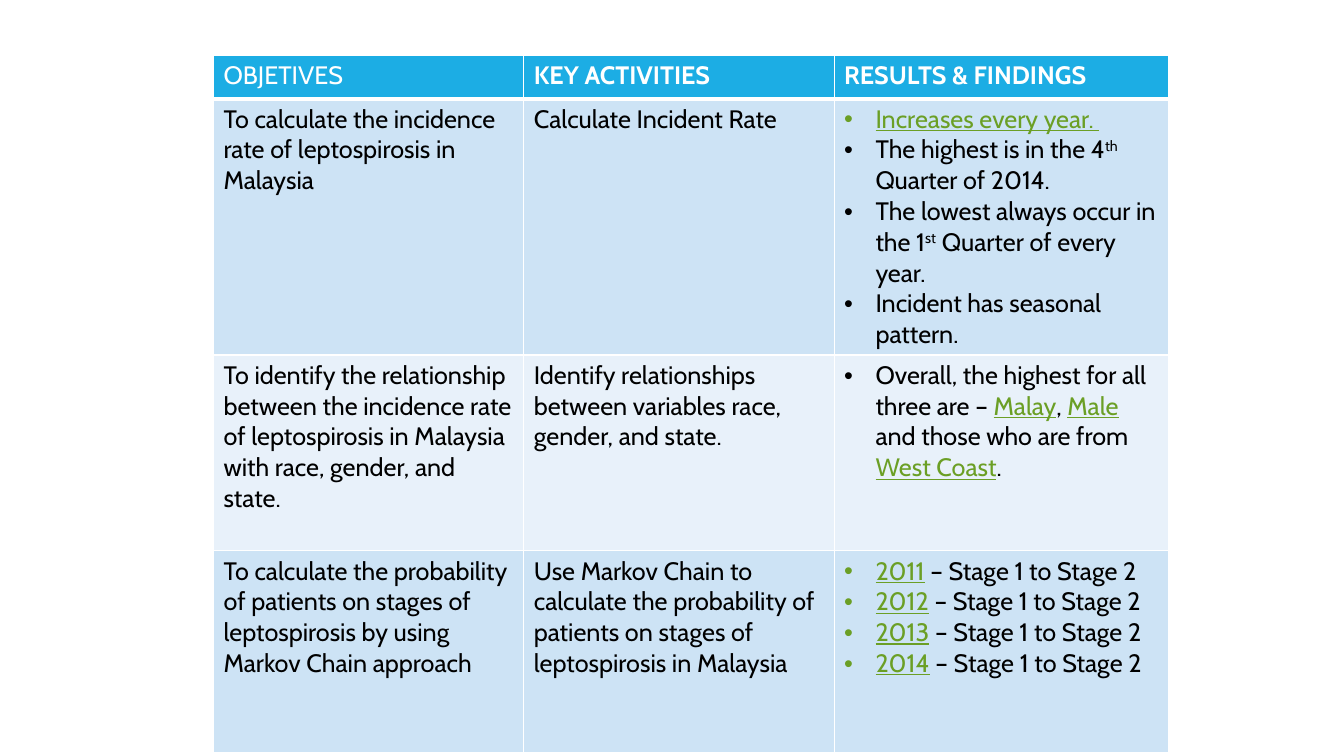
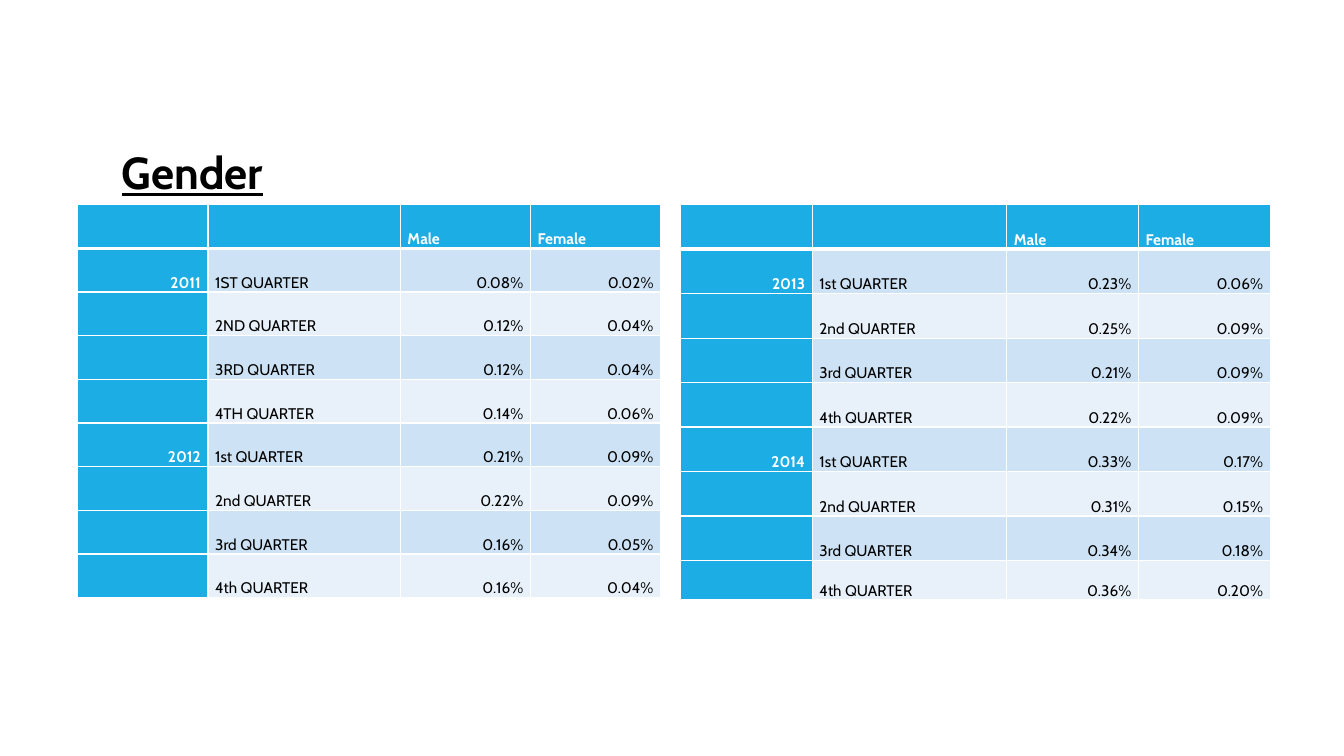
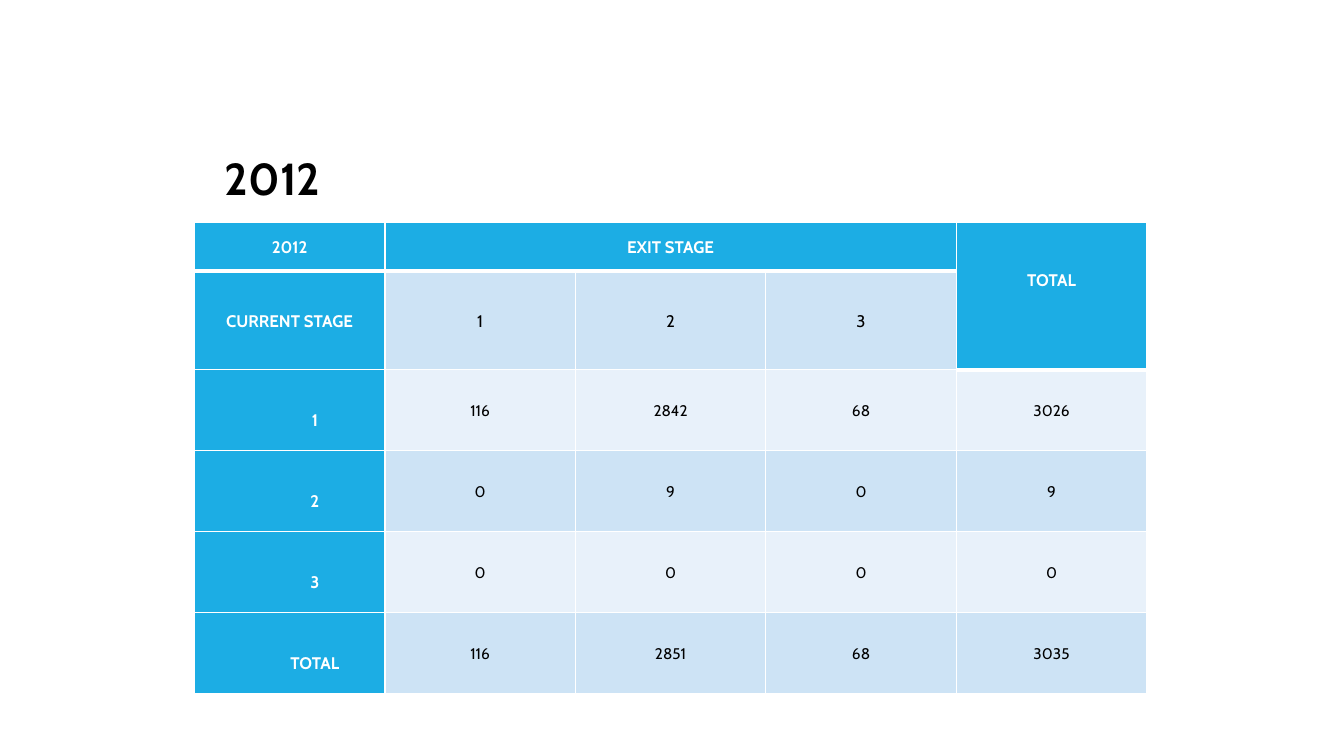
from itertools import chain

from lxml.etree import SubElement
from pptx import Presentation
from pptx.dml.color import RGBColor
from pptx.enum.text import MSO_ANCHOR as Anchor, MSO_AUTO_SIZE as AutoSize, PP_ALIGN as Align
from pptx.oxml.ns import qn
from pptx.util import Cm, Pt

FONT = "Cabin"
BLUE, PALE, PALER = "1CADE4", "CDE3F5", "E8F1FA"
WHITE, BLACK, GREEN = "FFFFFF", "000000", "6B9F25"
BLANK_LAYOUT, TITLE_LAYOUT = 6, 5
QUARTERS = [f"{number} QUARTER" for number in ("1st", "2nd", "3rd", "4th")]
SPACED = dict(line_spacing=1.07, space_after=8)
STAGE = dict(line_spacing=2.0, space_after=10, indent=1.27)


def color(hex_text):
    """Turn a hex string into a colour."""
    return RGBColor.from_string(hex_text)


def add_text(para, text, size=18, ink=BLACK, bold=False, underline=False, raised=False):
    """Add one formatted span to a paragraph."""
    span = para.add_run()
    span.text = text
    font = span.font
    font.name, font.size, font.bold, font.underline = FONT, Pt(size), bold, underline
    font.color.rgb = color(ink)
    if raised:
        font._element.set("baseline", "30000")


def link(text):
    """Return a green underlined span."""
    return text, dict(ink=GREEN, underline=True)


def raised(text):
    """Return a superscript span."""
    return text, dict(raised=True)


def format_para(para, align=Align.LEFT, line_spacing=None, space_after=None, indent=0):
    """Set alignment, spacing and left indent."""
    para.alignment = align
    para.line_spacing = line_spacing
    if space_after is not None:
        para.space_after = Pt(space_after)
    if indent:
        para._p.get_or_add_pPr().set("marL", str(Cm(indent)))


def add_bullets(cell, items):
    """Write bulleted paragraphs; each item is a list of strings and styled spans."""
    frame = cell.text_frame
    for index, spans in enumerate(items):
        para = frame.add_paragraph() if index else frame.paragraphs[0]
        properties = para._p.get_or_add_pPr()
        properties.set("marL", str(Cm(0.79)))
        properties.set("indent", str(-Cm(0.79)))
        SubElement(properties, qn("a:buFont")).set("typeface", "Arial")
        SubElement(properties, qn("a:buChar")).set("char", "•")
        for span in spans:
            text, style = (span, {}) if isinstance(span, str) else span
            add_text(para, text, **style)


def style_cell(cell, fill, heavy_bottom=False):
    """Give a cell its fill and white borders."""
    properties = cell._tc.get_or_add_tcPr()
    for side in "LRTB":
        width = 3 if heavy_bottom and side == "B" else 1
        line = SubElement(properties, qn(f"a:ln{side}"), w=str(Pt(width)))
        SubElement(SubElement(line, qn("a:solidFill")), qn("a:srgbClr"), val=WHITE)
    cell.fill.solid()
    cell.fill.fore_color.rgb = color(fill)


def write_cell(cell, text, align=Align.LEFT, line_spacing=None, space_after=None,
               indent=0, **text_format):
    """Write one paragraph into a cell."""
    para = cell.text_frame.paragraphs[0]
    format_para(para, align, line_spacing, space_after, indent)
    add_text(para, text, **text_format)


def tighten(cell, anchor):
    """Give a cell narrow margins and a vertical anchor."""
    cell.margin_left = cell.margin_right = Cm(0.18)
    cell.margin_top = cell.margin_bottom = 0
    cell.vertical_anchor = anchor


def add_grid(slide, left, top, widths, heights, side_header=False):
    """Add a banded table with a blue header row and optional blue first column."""
    frame = slide.shapes.add_table(len(heights), len(widths), Cm(left), Cm(top),
                                   Cm(sum(widths)), Cm(sum(heights)))
    table = frame.table
    table.first_row = table.horz_banding = False
    for column, width in zip(table.columns, widths):
        column.width = Cm(width)
    for row_index, (row, height) in enumerate(zip(table.rows, heights)):
        row.height = Cm(height)
        for column_index, cell in enumerate(row.cells):
            header = row_index == 0 or (side_header and column_index == 0)
            band = PALE if row_index % 2 else PALER
            style_cell(cell, BLUE if header else band, heavy_bottom=row_index == 0)
    return table


def add_title(slide, text, left, top, width, **text_format):
    """Place and format the slide title."""
    title = slide.shapes.title
    title.left, title.top, title.width, title.height = Cm(left), Cm(top), Cm(width), Cm(1.62)
    frame = title.text_frame
    frame.word_wrap, frame.auto_size = True, AutoSize.SHAPE_TO_FIT_TEXT
    frame.vertical_anchor = Anchor.TOP
    format_para(frame.paragraphs[0])
    add_text(frame.paragraphs[0], text, size=32, bold=True, **text_format)


def add_year_table(slide, left, top, widths, heights, years):
    """Add the quarterly rates of some years, by gender."""
    table = add_grid(slide, left, top, widths, heights, side_header=True)
    rows = [("", "", "Male", "Female")]
    for year, quarters, males, females in years:
        year_column = [year] + [""] * (len(quarters) - 1)
        rows += zip(year_column, quarters, males, females)
    for row_index, row in enumerate(rows):
        for column_index, value in enumerate(row):
            cell = table.cell(row_index, column_index)
            tighten(cell, Anchor.BOTTOM)
            if not value:
                continue
            header = row_index == 0 or column_index == 0
            right = row_index > 0 and column_index != 1
            text = f"{value:.2f}%" if isinstance(value, float) else value
            write_cell(cell, text, align=Align.RIGHT if right else Align.LEFT, line_spacing=2.0,
                       size=11, bold=header, ink=WHITE if header else BLACK)


def build_findings(deck):
    """Build the slide of objectives, activities and findings."""
    slide = deck.slides.add_slide(deck.slide_layouts[BLANK_LAYOUT])
    table = add_grid(slide, 5.38, 1.4, [7.82, 7.82, 8.43], [1.09, 6.45, 4.93, 5.08])
    for column, heading in enumerate(("OBJETIVES", "KEY ACTIVITIES", "RESULTS & FINDINGS")):
        write_cell(table.cell(0, column), heading, ink=WHITE, bold=column > 0)
    rows = [
        ("To calculate the incidence rate of leptospirosis in Malaysia",
         "Calculate Incident Rate",
         [[link("Increases every year. ")],
          ["The highest is in the 4", raised("th"), " Quarter of 2014."],
          ["The lowest always occur in the 1", raised("st"), " Quarter of every year."],
          ["Incident has seasonal pattern. "]]),
        ("To identify the relationship between the incidence rate of leptospirosis in "
         "Malaysia with race, gender, and state.",
         "Identify relationships between variables race, gender, and state.",
         [["Overall, the highest for all three are – ", link("Malay"), ", ", link("Male"),
           " and those who are from ", link("West Coast"), "."]]),
        ("To calculate the probability of patients on stages of leptospirosis by using "
         "Markov Chain approach",
         "Use Markov Chain to calculate the probability of patients on stages of "
         "leptospirosis in Malaysia",
         [[link(str(year)), " – Stage 1 to Stage 2"] for year in range(2011, 2015)]),
    ]
    for row, (objective, activity, findings) in enumerate(rows, 1):
        write_cell(table.cell(row, 0), objective)
        write_cell(table.cell(row, 1), activity)
        add_bullets(table.cell(row, 2), findings)


def build_gender(deck):
    """Build the slide of rates by gender."""
    slide = deck.slides.add_slide(deck.slide_layouts[TITLE_LAYOUT])
    add_title(slide, "Gender", 2.82, 3.53, 8.36, underline=True)
    capitals = [quarter.upper() for quarter in QUARTERS]
    add_year_table(slide, 17.15, 5.16, [3.32, 4.9, 3.32, 3.32], [1.12] * 8 + [1.0], [
        ("2013", QUARTERS, (0.23, 0.25, 0.21, 0.22), (0.06, 0.09, 0.09, 0.09)),
        ("2014", QUARTERS, (0.33, 0.31, 0.34, 0.36), (0.17, 0.15, 0.18, 0.20)),
    ])
    add_year_table(slide, 1.96, 5.16, [3.28, 4.85, 3.28, 3.28], [1.1] * 9, [
        ("2011", capitals, (0.08, 0.12, 0.12, 0.14), (0.02, 0.04, 0.04, 0.06)),
        ("2012", QUARTERS, (0.21, 0.22, 0.16, 0.16), (0.09, 0.09, 0.05, 0.04)),
    ])


def build_stages(deck):
    """Build the slide of stage transitions in 2012."""
    slide = deck.slides.add_slide(deck.slide_layouts[TITLE_LAYOUT])
    add_title(slide, "2012", 5.41, 3.68, 3.1)
    table = add_grid(slide, 4.9, 5.61, [4.8] * 5, [1.22, 2.49] + [2.04] * 4, side_header=True)
    rows = [
        ("2012", "EXIT STAGE", "", "", "TOTAL"),
        ("CURRENT STAGE", "1", "2", "3", ""),
        ("1", "116", "2842", "68", "3026"),
        ("2", "0", "9", "0", "9"),
        ("3", "0", "0", "0", "0"),
        ("TOTAL", "116", "2851", "68", "3035"),
    ]
    exit_stage, total = table.cell(0, 1), table.cell(0, 4)
    exit_stage.merge(table.cell(0, 3))
    total.merge(table.cell(1, 4))
    cells = chain.from_iterable(row.cells for row in table.rows)
    for index, (cell, text) in enumerate(zip(cells, chain.from_iterable(rows))):
        row, column = divmod(index, 5)
        tighten(cell, Anchor.MIDDLE)
        if text:
            header = row == 0 or column == 0
            spacing = STAGE if column == 0 and row > 1 else SPACED
            write_cell(cell, text, align=Align.CENTER, size=12 if header or row == 1 else 11,
                       ink=WHITE if header else BLACK, bold=header, **spacing)
    total.margin_bottom = Cm(0.81)
    below_total = table.cell(1, 4)
    below_total.fill.solid()
    below_total.fill.fore_color.rgb = color(BLUE)
    below_total._tc.tcPr.find(qn("a:lnB")).set("w", str(Pt(3)))


def main():
    """Build and save the deck."""
    deck = Presentation()
    deck.slide_width, deck.slide_height = Cm(33.87), Cm(19.05)
    build_findings(deck)
    build_gender(deck)
    build_stages(deck)
    deck.save("out.pptx")


main()
